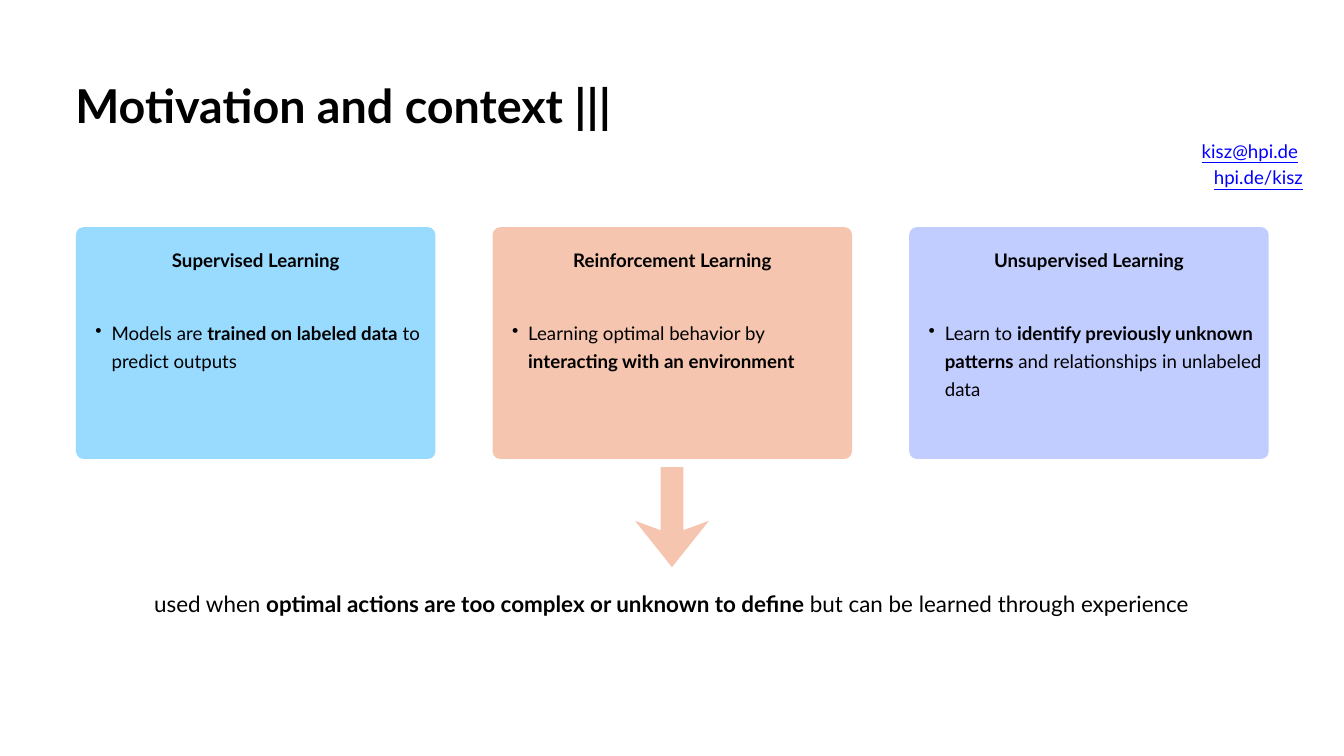
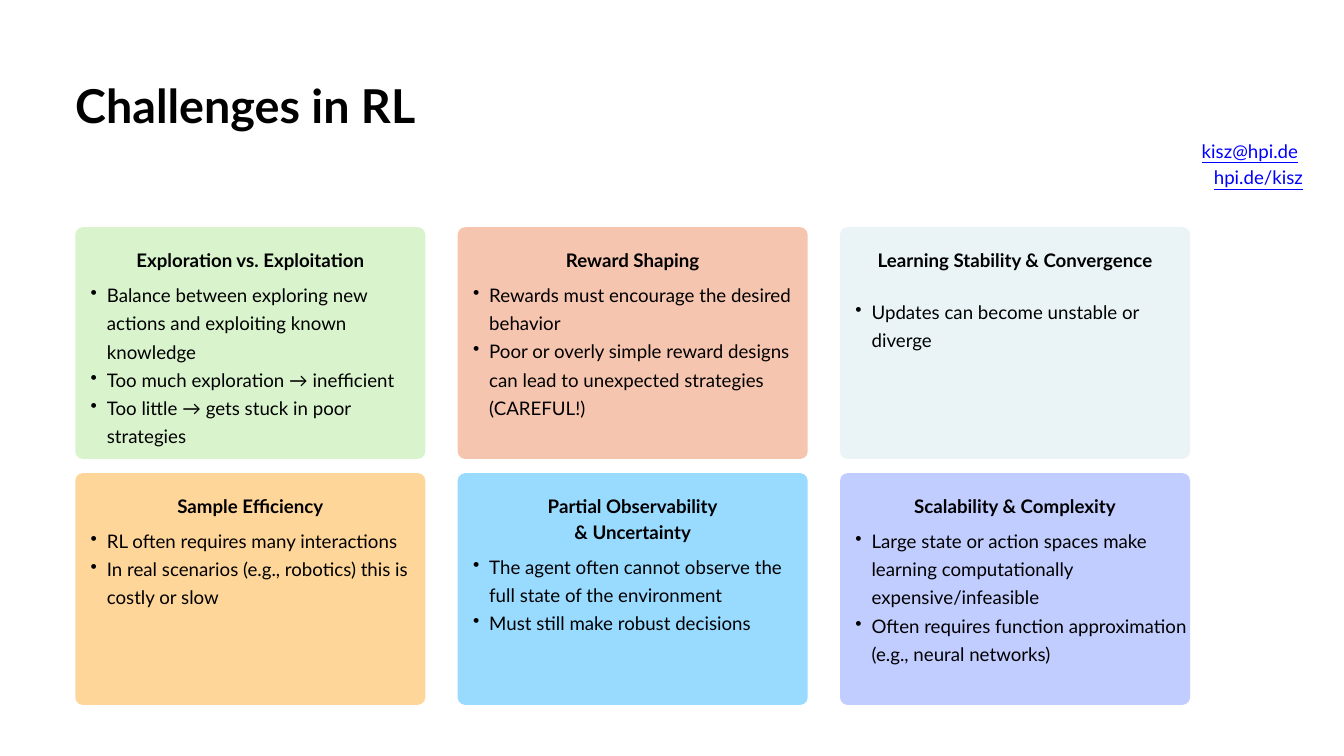
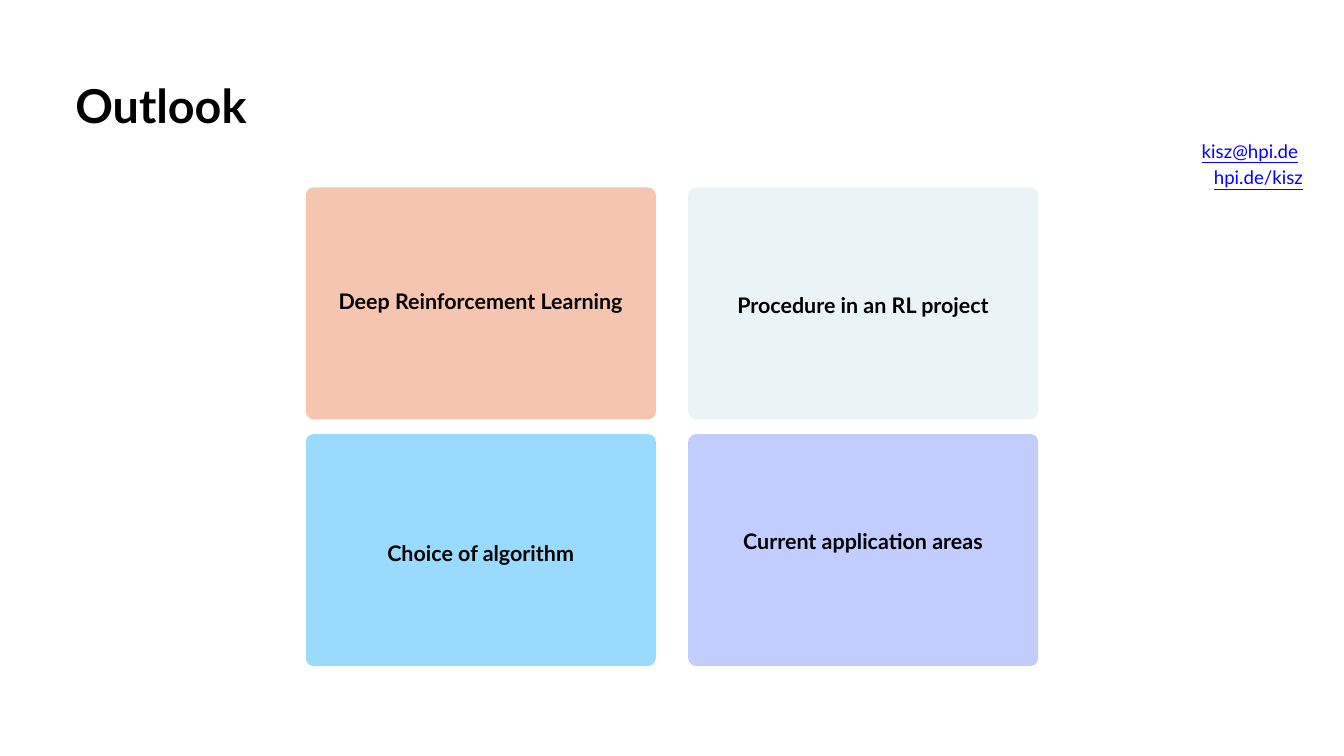
import pptx
import pptx.util
import pptx.dml.color
import pptx.enum.shapes
import pptx.enum.text
import lxml.etree

Inches = pptx.util.Inches
Pt = pptx.util.Pt
RGB = pptx.dml.color.RGBColor.from_string
ALIGN = pptx.enum.text.PP_ALIGN

COLORS = {
    "text": "000000",
    "link": "0000FF",
    "blue": "99DAFF",
    "peach": "F6C5AF",
    "violet": "C2CDFF",
    "green": "D9F4CD",
    "mist": "EAF4F6",
    "amber": "FFD699",
}
FONT = "Lato"
TALL = 3.45  # height of every card


def write(slide, box, lines, size=20, lead=28, align=ALIGN.LEFT,
          bold=False, color="text", under=None, dots=False):
    """Add a text box; words between asterisks turn bold."""
    shape = slide.shapes.add_textbox(*[Inches(n) for n in box])
    frame = shape.text_frame
    frame.word_wrap = True
    frame.auto_size = pptx.enum.text.MSO_AUTO_SIZE.SHAPE_TO_FIT_TEXT
    frame.margin_left = frame.margin_right = 0
    frame.margin_top = frame.margin_bottom = 0
    for i, line in enumerate(lines):
        para = frame.paragraphs[0] if i == 0 else frame.add_paragraph()
        para.alignment = align
        para.line_spacing = Pt(lead)
        if dots:
            para.level = 1
            props = para._p.get_or_add_pPr()
            props.set("marL", str(Inches(0.47)))
            props.set("indent", str(-Inches(0.24)))
            tag = pptx.oxml.ns.qn("a:buChar")
            lxml.etree.SubElement(props, tag).set("char", "•")
        for j, part in enumerate(line.split("*")):
            if not part:
                continue
            run = para.add_run()
            run.text = part
            run.font.name = FONT
            run.font.size = Pt(size)
            run.font.bold = bold or j % 2 == 1
            run.font.underline = under
            run.font.color.rgb = RGB(COLORS[color])
    return frame


def card(slide, x, y, wide, color, head, span, drop=0.27, size=20):
    """Add a rounded card with a bold heading centred on it."""
    shape = slide.shapes.add_shape(
        pptx.enum.shapes.MSO_SHAPE.ROUNDED_RECTANGLE,
        Inches(x), Inches(y), Inches(wide), Inches(TALL))
    shape.adjustments[0] = 0.033
    shape.shadow.inherit = False
    shape.fill.solid()
    shape.fill.fore_color.rgb = RGB(COLORS[color])
    shape.line.fill.background()
    lead = size * 1.4
    box = (x + (wide - span) / 2, y + drop, span, len(head) * lead / 72)
    write(slide, box, head, size, lead, ALIGN.CENTER, bold=True)


deck = pptx.Presentation()
deck.slide_width = Inches(20)
deck.slide_height = Inches(11.25)

# Slides with title and contact
pages = []
for title, span in [("Motivation and context |||", 10.41),
                    ("Challenges in RL", 5.57), ("Outlook", 2.72)]:
    page = deck.slides.add_slide(deck.slide_layouts[6])
    write(page, (1.12, 1.01, span, 0.94), [title], 50, 70, bold=True)
    frame = write(page, (17.81, 2.02, 1.58, 0.77),
                  ["kisz@hpi.de", "hpi.de/kisz"],
                  align=ALIGN.CENTER, color="link", under=True)
    frame.paragraphs[1].alignment = ALIGN.RIGHT
    pages.append(page)
context, issues, outlook = pages

# Slide 1: three kinds of learning
kinds = [
    ("blue", "Supervised Learning", 2.78, 0.82,
     "Models are *trained on labeled data* to predict outputs"),
    ("peach", "Reinforcement Learning", 3.27, 1.24,
     "Learning optimal behavior by *interacting with an environment*"),
    ("violet", "Unsupervised Learning", 3.13, 1.65,
     "Learn to *identify previously unknown patterns*"
     " and relationships in unlabeled data"),
]
for i, (color, head, span, high, line) in enumerate(kinds):
    x = 1.13 + 6.2 * i
    card(context, x, 3.38, 5.35, color, [head], span)
    write(context, (x + 0.06, 4.7, 5.21, high), [line], lead=30.2, dots=True)

# Arrow from reinforcement learning to its use
tips = [(9.83, 7.89), (9.83, 6.95), (10.17, 6.95), (10.17, 7.89),
        (10.55, 7.75), (10, 8.44), (9.45, 7.75)]
spots = [(Inches(x), Inches(y)) for x, y in tips]
build = context.shapes.build_freeform(*spots[0])
build.add_line_segments(spots[1:], close=True)
arrow = build.convert_to_shape()
arrow.shadow.inherit = False
arrow.fill.solid()
arrow.fill.fore_color.rgb = RGB(COLORS["peach"])
arrow.line.fill.background()
write(context, (1.12, 8.71, 17.74, 0.43),
      ["used when *optimal actions are too complex or unknown to define*"
       " but can be learned through experience"],
      24, 33.6, ALIGN.CENTER)

# Slide 2: grid of challenges
hurdles = [
    ("green", ["Exploration vs. Exploitation"], 3.73, 0.76, 2.49,
     ["Balance between exploring new actions and exploiting known knowledge",
      "Too much exploration → inefficient",
      "Too little → gets stuck in poor strategies"]),
    ("peach", ["Reward Shaping"], 2.17, 0.76, 2.07,
     ["Rewards must encourage the desired behavior",
      "Poor or overly simple reward designs can lead to"
      " unexpected strategies (CAREFUL!)"]),
    ("mist", ["Learning Stability & Convergence"], 4.5, 1.01, 0.82,
     ["Updates can become unstable or diverge"]),
    ("amber", ["Sample Efficiency"], 2.44, 0.76, 1.65,
     ["RL often requires many interactions",
      "In real scenarios (e.g., robotics) this is costly or slow"]),
    ("blue", ["Partial Observability", "& Uncertainty"], 2.79, 1.14, 1.24,
     ["The agent often cannot observe the full state of the environment",
      "Must still make robust decisions"]),
    ("violet", ["Scalability & Complexity"], 3.3, 0.76, 2.49,
     ["Large state or action spaces make learning computationally"
      " expensive/infeasible",
      "Often requires function approximation (e.g., neural networks)"]),
]
for i, (color, head, span, drop, high, lines) in enumerate(hurdles):
    x = 1.12 + 5.69 * (i % 3)
    y = 3.38 + 3.66 * (i // 3)
    card(issues, x, y, 5.21, color, head, span)
    write(issues, (x, y + drop, 5.21, high), lines, lead=30.2, dots=True)

# Slide 3: grid of topics
topics = [
    ("peach", "Deep Reinforcement Learning", 4.66, 1.44),
    ("mist", "Procedure in an RL project", 4.12, 1.49),
    ("blue", "Choice of algorithm", 3.07, 1.51),
    ("violet", "Current application areas", 3.97, 1.34),
]
for i, (color, head, span, drop) in enumerate(topics):
    x = 4.55 + 5.69 * (i % 2)
    y = 2.79 + 3.67 * (i // 2)
    card(outlook, x, y, 5.21, color, [head], span, drop, 23)

deck.save("out.pptx")
